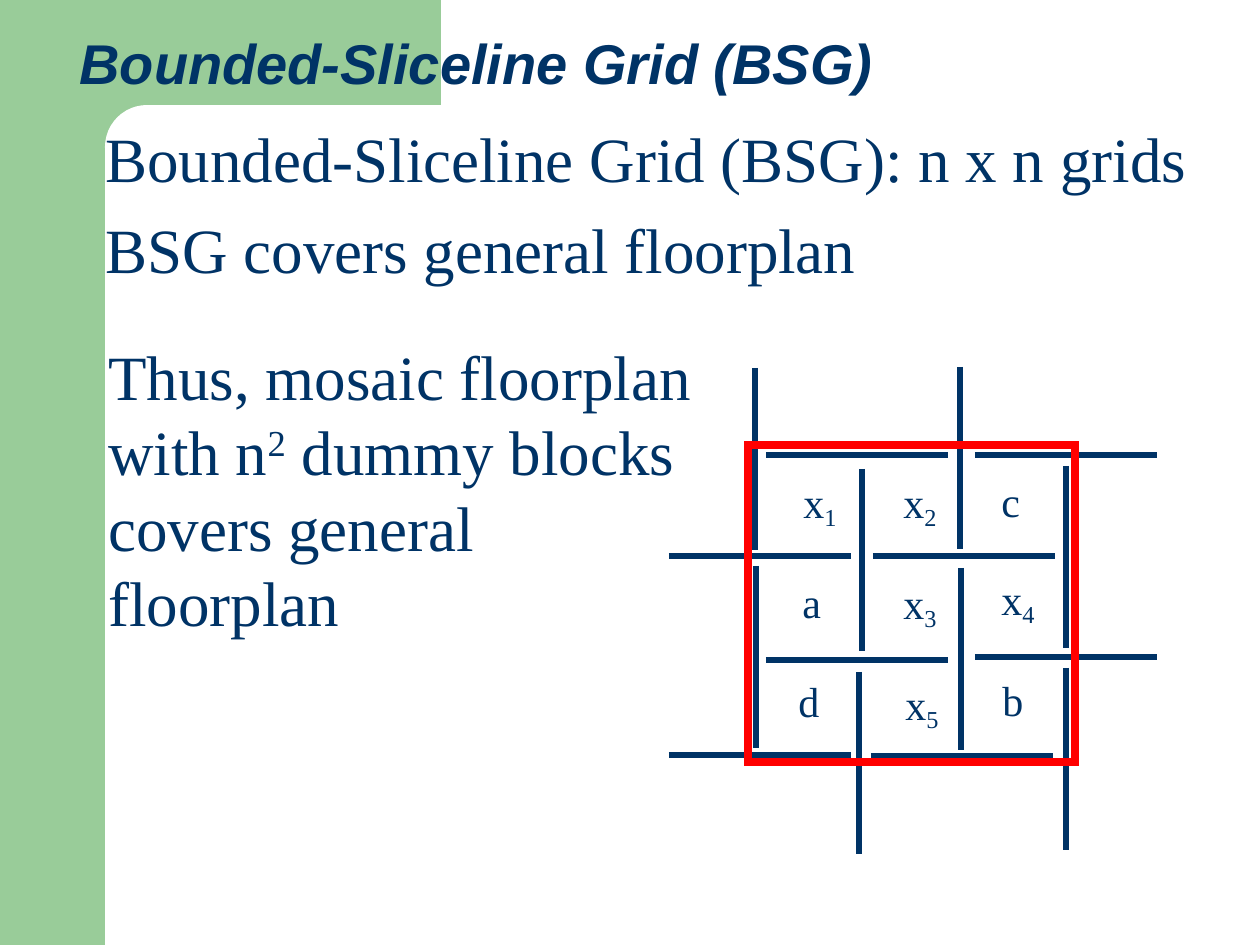
from lxml import etree
from pptx import Presentation, util as u
from pptx.dml.color import RGBColor
from pptx.enum import shapes, text
from pptx.oxml.ns import qn

COLORS = {"green": "99CC99", "white": "FFFFFF", "navy": "003366", "red": "FF0000"}
SERIF = "Times New Roman"
TITLE_FONT = {"name": "Arial", "size": u.Pt(32), "bold": True, "italic": True}
BODY_FONT = {"name": SERIF, "size": u.Pt(36)}
LABEL_FONT = {"name": SERIF, "size": u.Pt(24)}

TITLE = [[("Bounded-Sliceline Grid (BSG)", 0)]]
POINTS = [
    [("Bounded-Sliceline Grid (BSG): n x n grids", 0)],
    [("BSG covers general floorplan", 0)],
]
CONCLUSION = [[
    ("Thus, mosaic floorplan with n", 0),
    ("2", 30),
    (" dummy blocks covers general floorplan", 0),
]]
BACKDROP = [
    ("RECTANGLE", (0, 0, 105, 945), "green"),
    ("RECTANGLE", (95, 0, 346, 147), "green"),
    ("ROUNDED_RECTANGLE", (105, 105, 703, 84), "white"),
]
SEGMENT = 182
HORIZONTALS = [(766, 455), (975, 455), (873, 556), (669, 556),
               (975, 657), (766, 660), (871, 756), (669, 755)]
VERTICALS = [(755, 368), (862, 469), (960, 367), (961, 568),
             (756, 566), (859, 672), (1066, 668), (1066, 466)]
ROOMS = [
    ("x", "1", 791, 470), ("x", "2", 891, 470), ("c", "", 989, 469),
    ("a", "", 790, 570), ("x", "3", 891, 571), ("x", "4", 989, 567),
    ("d", "", 786, 669), ("x", "5", 893, 672), ("b", "", 990, 668),
]
FRAME = (748, 445, 327, 317)


def px(value):
    return round(value * 914400 / 126)


def color(name):
    return RGBColor.from_string(COLORS[name])


def add_block(slide, kind, box, fill=None):
    shape = slide.shapes.add_shape(shapes.MSO_SHAPE[kind], *map(px, box))
    shape.shadow.inherit = False
    if fill:
        shape.fill.solid()
        shape.fill.fore_color.rgb = color(fill)
        shape.line.fill.background()
    else:
        shape.fill.background()
    return shape


def add_text(slide, box, paragraphs, font, frame_format, paragraph_format=None, hang=0):
    frame = slide.shapes.add_textbox(*map(px, box)).text_frame
    for name, value in frame_format.items():
        setattr(frame, name, value)
    for index, pieces in enumerate(paragraphs):
        paragraph = frame.add_paragraph() if index else frame.paragraphs[0]
        for name, value in (paragraph_format or {}).items():
            if index or name != "space_before":
                setattr(paragraph, name, value)
        if hang:
            properties = paragraph._p.get_or_add_pPr()
            properties.set("marL", str(px(hang)))
            properties.set("indent", str(-px(hang)))
        for words, baseline in pieces:
            run = paragraph.add_run()
            run.text = words
            for name, value in font.items():
                setattr(run.font, name, value)
            run.font.color.rgb = color("navy")
            if baseline:
                run._r.get_or_add_rPr().set("baseline", str(baseline * 1000))


def add_sliceline(slide, x, y, dx, dy):
    line = slide.shapes.add_connector(
        shapes.MSO_CONNECTOR.STRAIGHT, px(x), px(y), px(x + dx), px(y + dy))
    line.line.color.rgb = color("navy")
    line.line.width = u.Pt(3)
    etree.SubElement(line._element.spPr, qn("a:effectLst"))


def main():
    presentation = Presentation()
    presentation.slide_width, presentation.slide_height = px(1260), px(945)
    slide = presentation.slides.add_slide(presentation.slide_layouts[6])

    for kind, box, fill in BACKDROP:
        shape = add_block(slide, kind, box, fill)
    shape.adjustments[0] = 0.5

    wrapped = {"word_wrap": True}
    add_text(slide, (67, 0, 1102, 103), TITLE, TITLE_FONT,
             {**wrapped, "vertical_anchor": text.MSO_ANCHOR.BOTTOM},
             {"line_spacing": 0.9})
    add_text(slide, (93, 113, 1167, 192), POINTS, BODY_FONT, wrapped,
             {"space_before": u.Pt(9)}, hang=48)

    for x, y in HORIZONTALS:
        add_sliceline(slide, x, y, SEGMENT, 0)
    for x, y in VERTICALS:
        add_sliceline(slide, x, y, 0, SEGMENT)

    fitted = {"word_wrap": False, "auto_size": text.MSO_AUTO_SIZE.SHAPE_TO_FIT_TEXT}
    for letter, number, x, y in ROOMS:
        pieces = [(letter, 0)] + ([(number, -20)] if number else [])
        size = (58, 68) if number else (45, 63)
        add_text(slide, (x, y, *size), [pieces], LABEL_FONT, fitted)

    frame = add_block(slide, "RECTANGLE", FRAME)
    frame.line.color.rgb = color("red")
    frame.line.width = u.Pt(4.5)
    etree.SubElement(frame.line._get_or_add_ln(), qn("a:miter"), lim="800000")

    add_text(slide, (96, 331, 620, 315), CONCLUSION, BODY_FONT,
             {**fitted, **wrapped})

    presentation.save("out.pptx")


if __name__ == "__main__":
    main()
